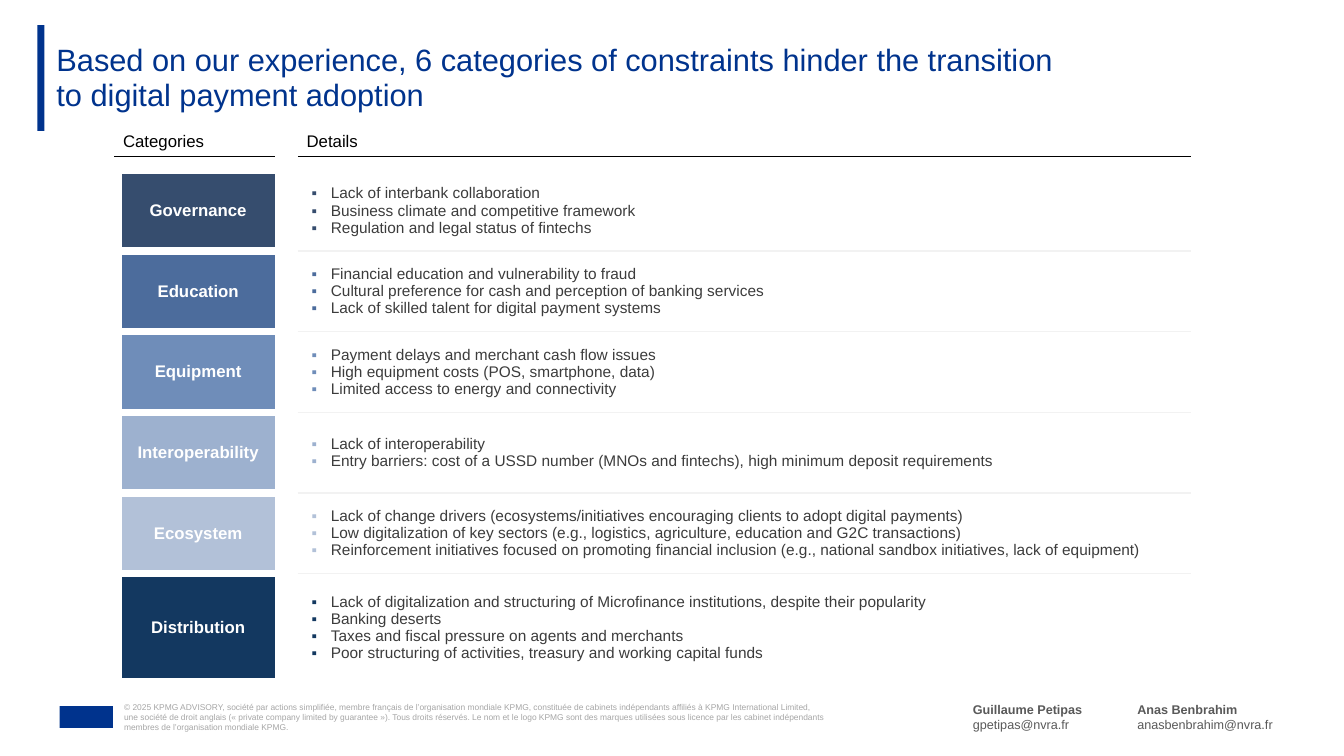
"""Build a slide listing six categories of constraints on digital payment adoption."""
from itertools import product

from lxml.etree import SubElement
from pptx import Presentation
from pptx.dml.color import RGBColor
from pptx.enum.shapes import MSO_SHAPE
from pptx.enum.text import MSO_ANCHOR, PP_ALIGN
from pptx.oxml import parse_xml
from pptx.oxml.ns import nsdecls, qn
from pptx.util import Inches, Pt

colour = RGBColor.from_string
BLUE, WHITE, BLACK, PALE = "00338D", "FFFFFF", "000000", "F2F2F2"

presentation = Presentation()
presentation.slide_width, presentation.slide_height = Inches(13.33), Inches(7.5)
slide = presentation.slides.add_slide(presentation.slide_layouts[6])


def place(*percents):
    """Turn alternating percentages of slide width and height into lengths."""
    sides = (presentation.slide_width, presentation.slide_height) * 2
    return [round(percent * side / 100) for percent, side in zip(percents, sides)]


def write(paragraph, text, size, ink, bold=False):
    """Put text into a paragraph and format its runs."""
    paragraph.text = text
    for run in paragraph.runs:
        for name, value in {"name": "Arial", "size": Pt(size), "bold": bold}.items():
            setattr(run.font, name, value)
        run.font.color.rgb = colour(ink)


for frame in [(4.43, 93.4, 3.98, 2.9), (2.78, 3.33, 0.53, 14)]:
    shape = slide.shapes.add_shape(MSO_SHAPE.RECTANGLE, *place(*frame))
    shape.shadow.inherit = False
    shape.fill.solid()
    shape.fill.fore_color.rgb = colour(BLUE)
    shape.line.fill.background()

title = (
    "Based on our experience, 6 categories of constraints hinder the transition\v"
    "to digital payment adoption"
)
copyright_line = (
    "© 2025 KPMG ADVISORY, société par actions simplifiée, membre français de l’organisation mondiale KPMG, "
    "constituée de cabinets indépendants affiliés à KPMG International Limited,\v"
    "une société de droit anglais (« private company limited by guarantee »). Tous droits réservés. "
    "Le nom et le logo KPMG sont des marques utilisées sous licence par les cabinet indépendants\v"
    "membres de l’organisation mondiale KPMG."
)
text_boxes = [
    ((4.2, 6, 91.52, 8.53), [(title, 22, BLUE)]),
    ((9.23, 92, 53.19, 5.73), [(copyright_line, 6, "A6A6A6")]),
    ((72.39, 92, 10.43, 5.73),
     [("Guillaume Petipas", 9, "595959", True), ("gpetipas@nvra.fr", 9, "595959")]),
    ((84.62, 92, 11.03, 5.73),
     [("Anas Benbrahim", 9, "595959", True), ("anasbenbrahim@nvra.fr", 9, "595959")]),
]
no_margins = dict.fromkeys(["margin_left", "margin_top", "margin_right", "margin_bottom"], 0)
for frame, lines in text_boxes:
    text_frame = slide.shapes.add_textbox(*place(*frame)).text_frame
    for name, value in {**no_margins, "word_wrap": True, "vertical_anchor": MSO_ANCHOR.MIDDLE}.items():
        setattr(text_frame, name, value)
    for index, line in enumerate(lines):
        paragraph = text_frame.add_paragraph() if index else text_frame.paragraphs[0]
        write(paragraph, *line)
        if line[0] == title:
            paragraph.line_spacing = Pt(25)

categories = [
    ("Governance", "364D6E", [
        "Lack of interbank collaboration",
        "Business climate and competitive framework",
        "Regulation and legal status of fintechs"]),
    ("Education", "4C6C9C", [
        "Financial education and vulnerability to fraud",
        "Cultural preference for cash and perception of banking services",
        "Lack of skilled talent for digital payment systems"]),
    ("Equipment", "6F8DB9", [
        "Payment delays and merchant cash flow issues",
        "High equipment costs (POS, smartphone, data)",
        "Limited access to energy and connectivity"]),
    ("Interoperability", "9DB1CF", [
        "Lack of interoperability",
        "Entry barriers: cost of a USSD number (MNOs and fintechs), high minimum deposit requirements"]),
    ("Ecosystem", "B2C1D8", [
        "Lack of change drivers (ecosystems/initiatives encouraging clients to adopt digital payments)",
        "Low digitalization of key sectors (e.g., logistics, agriculture, education and G2C transactions)",
        "Reinforcement initiatives focused on promoting financial inclusion "
        "(e.g., national sandbox initiatives, lack of equipment)"]),
    ("Distribution", "133860", [
        "Lack of digitalization and structuring of Microfinance institutions, despite their popularity",
        "Banking deserts",
        "Taxes and fiscal pressure on agents and merchants",
        "Poor structuring of activities, treasury and working capital funds"]),
]
column_shares = [11.93, 1.73, 65.87]
row_shares = [3.73, 1.87] + [10.67] * 5 + [14.27]
last_row = len(row_shares) - 1
table = slide.shapes.add_table(
    len(row_shares), len(column_shares), *place(8.78, 16.67, sum(column_shares), sum(row_shares))
).table
table.first_row = table.horz_banding = False
for column, share in zip(table.columns, column_shares):
    column.width = place(share)[0]
for row, share in zip(table.rows, row_shares):
    row.height = place(0, share)[1]

rules = {(0, 0): BLACK, (0, 2): BLACK, **{(row, 2): PALE for row in range(2, last_row)}}
for row, column in product(range(len(row_shares)), range(len(column_shares))):
    cell = table.cell(row, column)
    category, tint, details = categories[max(row - 2, 0)]
    cell.fill.solid()
    cell.fill.fore_color.rgb = colour(tint if row > 1 and column == 0 else WHITE)
    cell.vertical_anchor = MSO_ANCHOR.MIDDLE if row else MSO_ANCHOR.BOTTOM
    edges = {"L": None, "R": None, "T": rules.get((row - 1, column)), "B": rules.get((row, column))}
    for index, (edge, ink) in enumerate(edges.items()):
        cell_properties = cell._tc.get_or_add_tcPr()
        cell_properties.insert(index, parse_xml(
            f'<a:ln{edge} {nsdecls("a")} w="{Pt(1 if ink else 6)}"><a:solidFill>'
            f'<a:srgbClr val="{ink or WHITE}"/></a:solidFill></a:ln{edge}>'))
    paragraph = cell.text_frame.paragraphs[0]
    if row == 1 or column == 1:
        for name, value in no_margins.items():
            setattr(cell, name, value)
        SubElement(paragraph._p, qn("a:endParaRPr"), sz="400")
    elif row == 0:
        for name in no_margins:
            setattr(cell, name, Inches(0.05))
        write(paragraph, "Details" if column else "Categories", 12, BLACK)
    elif column == 0:
        paragraph.alignment = PP_ALIGN.CENTER
        write(paragraph, category, 12, WHITE, True)
    else:
        for index, detail in enumerate(details):
            paragraph = cell.text_frame.add_paragraph() if index else paragraph
            properties = paragraph._p.get_or_add_pPr()
            properties.set("marL", str(Inches(0.19)))
            properties.set("indent", str(-Inches(0.19)))
            SubElement(SubElement(properties, qn("a:buClr")), qn("a:srgbClr"), val=tint)
            SubElement(properties, qn("a:buFont"), typeface="Arial")
            SubElement(properties, qn("a:buChar"), char="▪")
            write(paragraph, detail, 11, "3C3C3C")

presentation.save("out.pptx")
